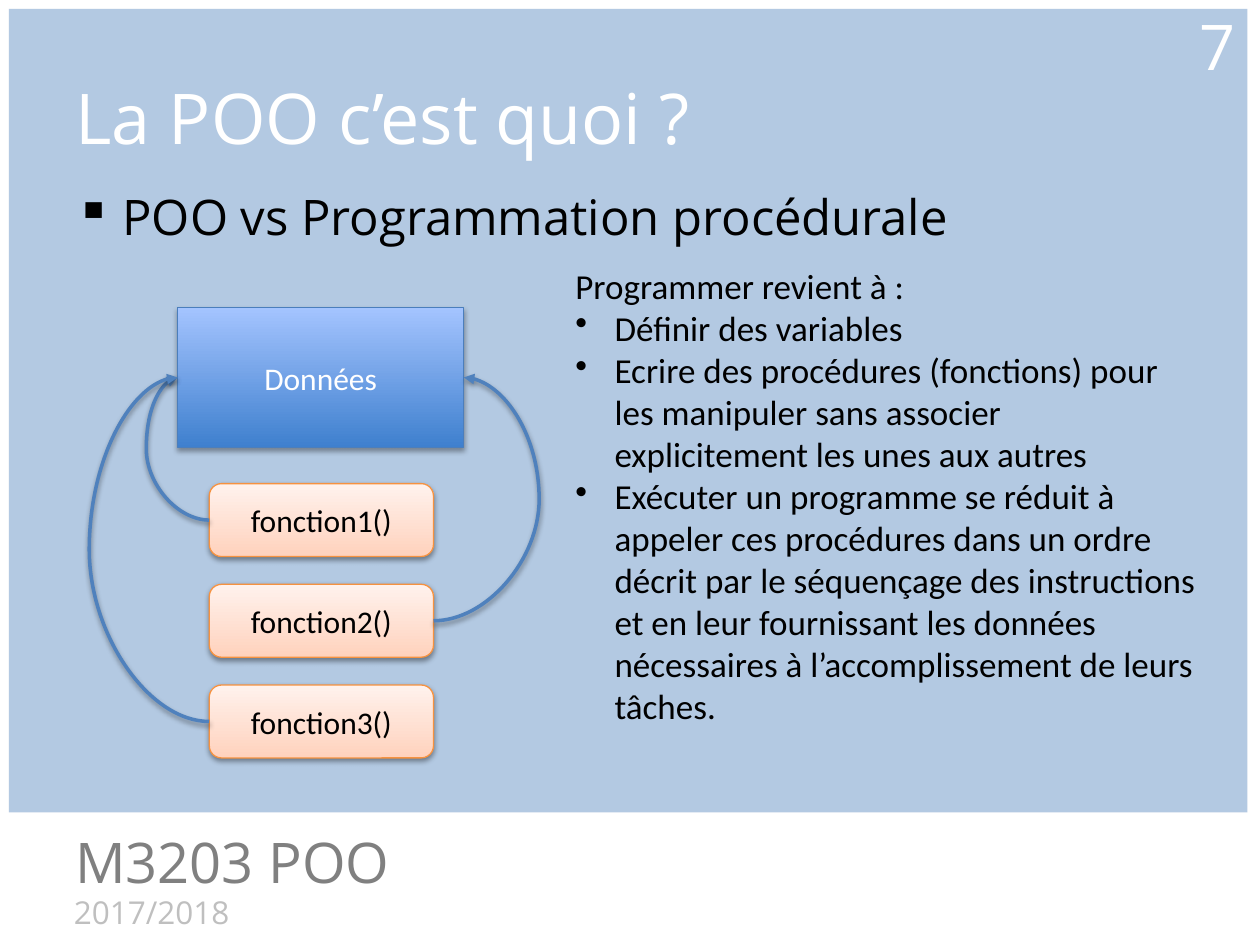
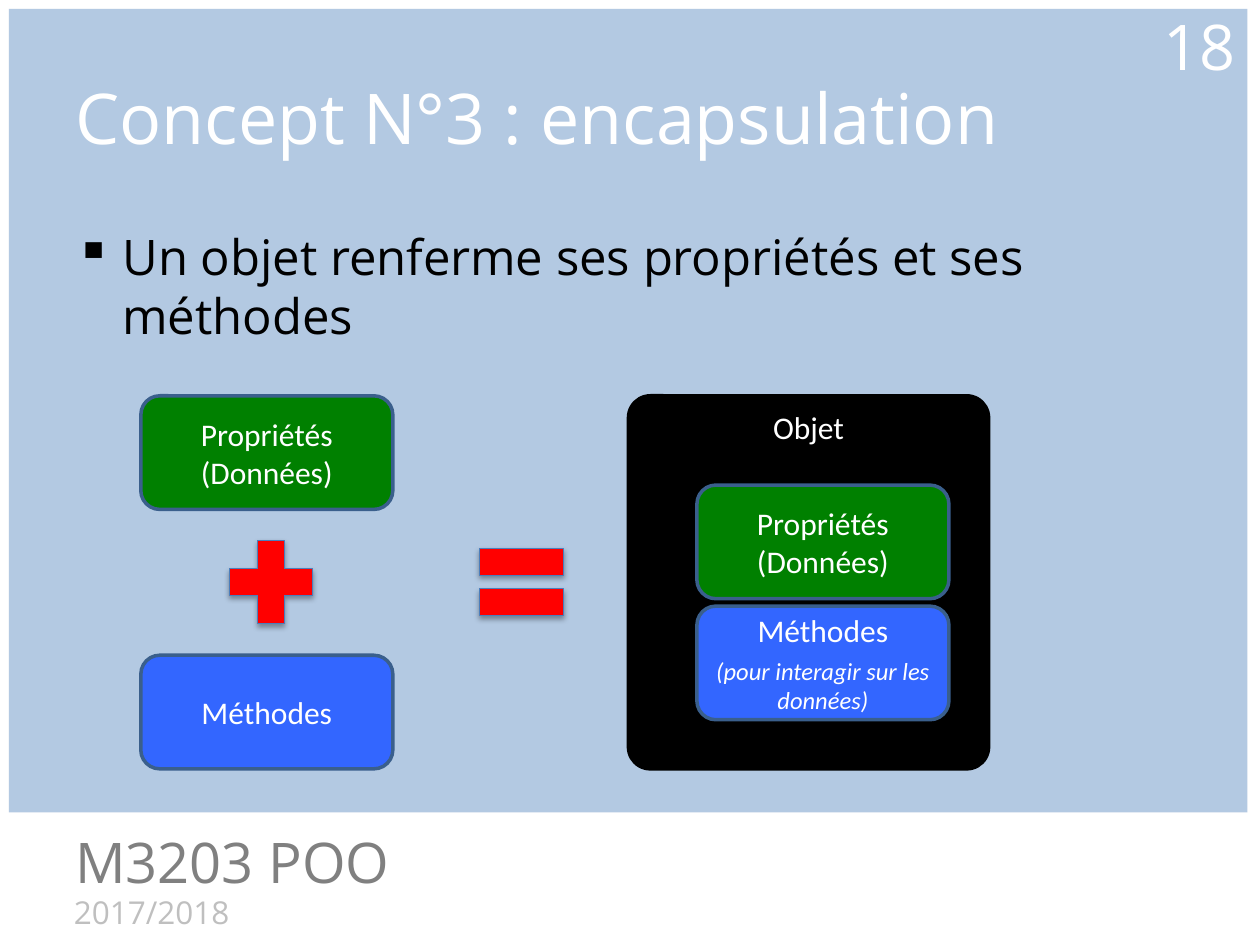
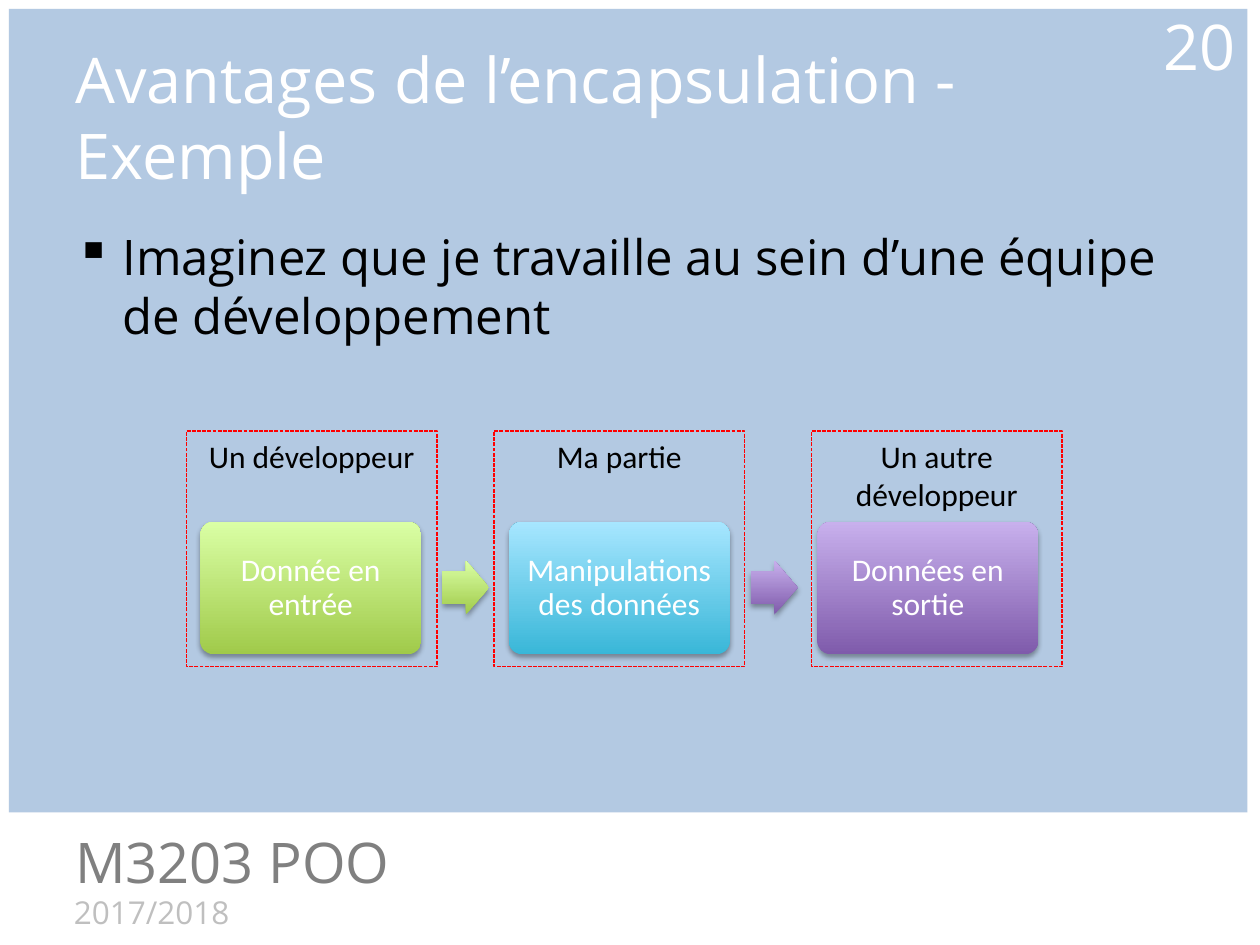
from dataclasses import dataclass
from typing import NamedTuple

from lxml.etree import SubElement
from pptx import Presentation
from pptx.dml.color import RGBColor
from pptx.enum.dml import MSO_LINE
from pptx.enum.shapes import MSO_CONNECTOR, MSO_SHAPE, PP_PLACEHOLDER
from pptx.enum.text import MSO_ANCHOR, MSO_AUTO_SIZE, PP_ALIGN
from pptx.oxml.ns import qn
from pptx.shapes.autoshape import Shape
from pptx.slide import Slide, SlideLayout
from pptx.text.text import TextFrame
from pptx.util import Cm, Pt

WHITE = RGBColor(0xFF, 0xFF, 0xFF)
BLACK = RGBColor(0x00, 0x00, 0x00)
DARK_GREY = RGBColor(0x80, 0x80, 0x80)
LIGHT_GREY = RGBColor(0xBF, 0xBF, 0xBF)
BAND_BLUE = RGBColor(0x95, 0xB3, 0xD7)
ARROW_BLUE = RGBColor(0x4F, 0x81, 0xBD)
EDGE_BLUE = RGBColor(0x4B, 0x7E, 0xBC)
DARK_EDGE = RGBColor(0x3A, 0x5F, 0x8C)
ORANGE = RGBColor(0xF6, 0x92, 0x40)
GREEN = RGBColor(0x00, 0x80, 0x00)
BLUE = RGBColor(0x33, 0x66, 0xFF)
RED = RGBColor(0xFF, 0x00, 0x00)

HEADING_FONT = "Open Sans"
DIAGRAM_FONT = "Calibri"


class Gradient(NamedTuple):
    bottom: RGBColor
    top: RGBColor


DATA_BLUE = Gradient(RGBColor(0x3F, 0x80, 0xCE), RGBColor(0xA4, 0xC4, 0xFF))
PEACH = Gradient(RGBColor(0xFF, 0xD2, 0xBD), RGBColor(0xFF, 0xF2, 0xED))
LIME = Gradient(RGBColor(0xA0, 0xCA, 0x4A), RGBColor(0xDA, 0xFF, 0xA5))
CYAN = Gradient(RGBColor(0x39, 0xB7, 0xD8), RGBColor(0xA7, 0xE6, 0xFF))
PURPLE = Gradient(RGBColor(0x7F, 0x5B, 0xAB), RGBColor(0xC8, 0xB0, 0xED))


class Shadow(NamedTuple):
    opacity: int
    distance: float


STRONG_SHADOW = Shadow(35, 1.8)
SOFT_SHADOW = Shadow(38, 1.6)


class Box(NamedTuple):
    """Left, top, width and height in centimetres."""
    left: float
    top: float
    width: float
    height: float

    def lengths(self) -> list[Cm]:
        return [Cm(value) for value in self]


class Style(NamedTuple):
    font: str
    size: int
    color: RGBColor
    italic: bool = False


TITLE = Style(HEADING_FONT, 40, WHITE)
LONG_TITLE = Style(HEADING_FONT, 36, WHITE)
PAGE_NUMBER = Style(HEADING_FONT, 36, WHITE)
BODY = Style(HEADING_FONT, 28, BLACK)
COURSE = Style(HEADING_FONT, 32, DARK_GREY)
YEAR = Style(HEADING_FONT, 18, LIGHT_GREY)
EXPLANATION = Style(DIAGRAM_FONT, 20, BLACK)
LIGHT_LABEL = Style(DIAGRAM_FONT, 18, WHITE)
DARK_LABEL = Style(DIAGRAM_FONT, 18, BLACK)
REMARK = Style(DIAGRAM_FONT, 14, WHITE, italic=True)


@dataclass(frozen=True)
class Line:
    """One paragraph of text."""
    text: str
    style: Style
    align: PP_ALIGN = PP_ALIGN.LEFT
    bullet: str = ""
    indent: float = 0
    space_before: int = 0
    spacing: float = 1.0


@dataclass(frozen=True)
class Panel:
    """A preset shape with its look and its centred labels."""
    kind: MSO_SHAPE
    box: Box
    fill: RGBColor | Gradient | None = None
    edge: RGBColor | None = None
    edge_width: float = 0.75
    dashed: bool = False
    corner: float | None = None
    shadow: Shadow | None = None
    labels: tuple[Line, ...] = ()
    anchor: MSO_ANCHOR = MSO_ANCHOR.MIDDLE


def label(text: str, style: Style = LIGHT_LABEL, **options) -> Line:
    return Line(text, style, PP_ALIGN.CENTER, **options)


def write(frame: TextFrame, lines: tuple[Line, ...], anchor: MSO_ANCHOR) -> None:
    frame.word_wrap = True
    frame.auto_size = MSO_AUTO_SIZE.NONE
    frame.vertical_anchor = anchor
    for index, line in enumerate(lines):
        paragraph = frame.add_paragraph() if index else frame.paragraphs[0]
        if line.bullet:
            properties = paragraph._p.get_or_add_pPr()
            properties.set("marL", str(Cm(line.indent)))
            properties.set("indent", str(-Cm(line.indent)))
            SubElement(properties, qn("a:buChar"), char=line.bullet)
        paragraph.alignment = line.align
        paragraph.line_spacing = line.spacing
        if line.space_before:
            paragraph.space_before = Pt(line.space_before)
        run = paragraph.add_run()
        run.text = line.text
        run.font.name = line.style.font
        run.font.size = Pt(line.style.size)
        run.font.color.rgb = line.style.color
        run.font.italic = line.style.italic


def add_text(slide: Slide, box: Box, *lines: Line,
             anchor: MSO_ANCHOR = MSO_ANCHOR.TOP) -> Shape:
    text_box = slide.shapes.add_textbox(*box.lengths())
    write(text_box.text_frame, lines, anchor)
    return text_box


def add_shadow(properties, shadow: Shadow) -> None:
    """Give a spPr element a downward shadow."""
    effects = properties.find(qn("a:effectLst"))
    if effects is None:
        effects = SubElement(properties, qn("a:effectLst"))
    outer = SubElement(effects, qn("a:outerShdw"), blurRad=str(Pt(3.1)),
                       dist=str(Pt(shadow.distance)), dir="5400000", rotWithShape="0")
    color = SubElement(outer, qn("a:srgbClr"), val=str(BLACK))
    SubElement(color, qn("a:alpha"), val=str(shadow.opacity * 1000))


def add_panel(slide: Slide, panel: Panel) -> Shape:
    shape = slide.shapes.add_shape(panel.kind, *panel.box.lengths())
    if panel.corner is not None:
        shape.adjustments[0] = panel.corner
    if panel.fill is None:
        shape.fill.background()
    elif isinstance(panel.fill, Gradient):
        shape.fill.gradient()
        shape.fill.gradient_angle = 90
        for stop, color in zip(shape.fill.gradient_stops, panel.fill):
            stop.color.rgb = color
    else:
        shape.fill.solid()
        shape.fill.fore_color.rgb = panel.fill
    if panel.edge is None:
        shape.line.fill.background()
    else:
        shape.line.color.rgb = panel.edge
        shape.line.width = Pt(panel.edge_width)
        if panel.dashed:
            shape.line.dash_style = MSO_LINE.SQUARE_DOT
    shape.shadow.inherit = False
    if panel.shadow:
        add_shadow(shape.element.spPr, panel.shadow)
    write(shape.text_frame, panel.labels, panel.anchor)
    return shape


LEFT_SITE, RIGHT_SITE = 1, 3


def add_access_arrow(slide: Slide, function: Shape, data: Shape, site: int,
                     bend: float) -> None:
    """Curve from a function to the data on the same side, bulging out to bend."""
    arrow = slide.shapes.add_connector(MSO_CONNECTOR.CURVE, 0, 0, 0, 0)
    arrow.begin_connect(function, site)
    arrow.end_connect(data, site)
    arrow.line.color.rgb = ARROW_BLUE
    arrow.line.width = Pt(2)
    properties = arrow.element.spPr
    SubElement(properties.find(qn("a:ln")), qn("a:tailEnd"), type="triangle")
    reach = (Cm(bend) - arrow.begin_x) / (arrow.end_x - arrow.begin_x)
    guides = properties.find(qn("a:prstGeom")).find(qn("a:avLst"))
    SubElement(guides, qn("a:gd"), name="adj1", fmla=f"val {round(reach * 100000)}")
    add_shadow(properties, SOFT_SHADOW)


def furnish_layout(layout: SlideLayout, slide: Slide) -> None:
    """Draw the band and footers on a slide, then hand them to its layout."""
    for placeholder in list(layout.placeholders):
        if placeholder.placeholder_format.type != PP_PLACEHOLDER.TITLE:
            layout.shapes.element.remove(placeholder.element)
    band = add_panel(slide, Panel(MSO_SHAPE.RECTANGLE, Box(0.18, 0.18, 24.97, 16.2),
                                  BAND_BLUE))
    color = band.element.spPr.find(qn("a:solidFill")).find(qn("a:srgbClr"))
    SubElement(color, qn("a:alpha"), val="71000")
    year = add_text(slide, Box(1.24, 17.88, 10.16, 1.02), Line("2017/2018", YEAR))
    course = add_text(slide, Box(1.27, 16.56, 13, 1.63), Line("M3203 POO", COURSE))
    for part in (band, year, course):
        layout.shapes.element.append(part.element)


def start_slide(slide: Slide, title: str, number: int, statement: str,
                statement_top: float = 4.45, title_style: Style = TITLE) -> None:
    heading = slide.shapes.title
    heading.left, heading.top, heading.width, heading.height = Box(
        1.27, 0.76, 22.86, 3.18).lengths()
    write(heading.text_frame, (Line(title, title_style),), MSO_ANCHOR.MIDDLE)
    add_text(slide, Box(1.27, statement_top, 22.86, 11.6),
             Line(statement, BODY, bullet="▪", indent=0.95))
    add_text(slide, Box(21.92, 0.18, 3.23, 1.47),
             Line(str(number), PAGE_NUMBER, PP_ALIGN.RIGHT), anchor=MSO_ANCHOR.MIDDLE)


def build_procedural(slide: Slide) -> None:
    start_slide(slide, "La POO c’est quoi ?", 7, "POO vs Programmation procédurale", 3.63)
    data = add_panel(slide, Panel(
        MSO_SHAPE.RECTANGLE, Box(3.58, 6.2, 5.77, 2.82), DATA_BLUE, EDGE_BLUE,
        shadow=STRONG_SHADOW, labels=(label("Données"),)))
    accesses = ((LEFT_SITE, 2.95), (RIGHT_SITE, 10.87), (LEFT_SITE, 1.8))
    for index, (site, bend) in enumerate(accesses):
        function = add_panel(slide, Panel(
            MSO_SHAPE.ROUNDED_RECTANGLE, Box(4.22, 9.75 + index * 2.03, 4.52, 1.47),
            PEACH, ORANGE, shadow=SOFT_SHADOW,
            labels=(label(f"fonction{index + 1}()", DARK_LABEL),)))
        add_access_arrow(slide, function, data, site, bend)
    points = (
        "Définir des variables",
        "Ecrire des procédures (fonctions) pour les manipuler sans associer "
        "explicitement les unes aux autres",
        "Exécuter un programme se réduit à appeler ces procédures dans un ordre décrit "
        "par le séquençage des instructions et en leur fournissant les données "
        "nécessaires à l’accomplissement de leurs tâches.",
    )
    add_text(slide, Box(11.35, 5.21, 13.08, 9.65),
             Line("Programmer revient à :", EXPLANATION),
             *(Line(point, EXPLANATION, bullet="•", indent=0.79) for point in points))


def build_encapsulation(slide: Slide) -> None:
    start_slide(slide, "Concept N°3 : encapsulation", 18,
                "Un objet renferme ses propriétés et ses méthodes")
    add_panel(slide, Panel(
        MSO_SHAPE.ROUNDED_RECTANGLE, Box(12.67, 7.98, 7.26, 7.52), BLACK, BLACK, 2,
        corner=0.061, labels=(label("Objet"),), anchor=MSO_ANCHOR.TOP))
    properties = (label("Propriétés (Données)"),)
    methods = (label("Méthodes"),)
    remark = (label("(pour interagir sur les données)", REMARK, space_before=4),)
    members = (
        (2.84, 7.98, GREEN, properties),
        (2.84, 13.21, BLUE, methods),
        (14.05, 9.78, GREEN, properties),
        (14.05, 12.22, BLUE, methods + remark),
    )
    for left, top, color, labels in members:
        add_panel(slide, Panel(MSO_SHAPE.ROUNDED_RECTANGLE, Box(left, top, 5.08, 2.29),
                               color, DARK_EDGE, 2, labels=labels))
    for sign, left in ((MSO_SHAPE.MATH_PLUS, 4.32), (MSO_SHAPE.MATH_EQUAL, 9.37)):
        add_panel(slide, Panel(sign, Box(left, 10.59, 2.29, 2.29), RED, EDGE_BLUE,
                               shadow=STRONG_SHADOW))


def build_example(slide: Slide) -> None:
    start_slide(slide, "Avantages de l’encapsulation - Exemple", 20,
                "Imaginez que je travaille au sein d’une équipe de développement",
                title_style=LONG_TITLE)
    first_left, step_pitch = 4.04, 6.22
    steps = (("Donnée en entrée", LIME), ("Manipulations des données", CYAN),
             ("Données en sortie", PURPLE))
    for index, (text, gradient) in enumerate(steps):
        add_panel(slide, Panel(
            MSO_SHAPE.ROUNDED_RECTANGLE,
            Box(first_left + index * step_pitch, 10.52, 4.45, 2.67), gradient,
            corner=0.1, shadow=STRONG_SHADOW, labels=(label(text, spacing=0.9),)))
    for index, gradient in enumerate((LIME, PURPLE)):
        add_panel(slide, Panel(
            MSO_SHAPE.RIGHT_ARROW,
            Box(first_left + 4.88 + index * step_pitch, 11.3, 0.94, 1.09), gradient,
            corner=0.6, shadow=STRONG_SHADOW))
    owners = (("Un développeur", 3.76), ("Ma partie", 9.96), ("Un autre développeur", 16.36))
    for owner, left in owners:
        add_panel(slide, Panel(
            MSO_SHAPE.RECTANGLE, Box(left, 8.69, 5.05, 4.75), edge=RED, dashed=True,
            labels=(label(owner, DARK_LABEL),), anchor=MSO_ANCHOR.TOP))


def main() -> None:
    deck = Presentation()
    deck.slide_width, deck.slide_height = Cm(25.4), Cm(19.05)
    title_only = deck.slide_layouts[5]
    builders = (build_procedural, build_encapsulation, build_example)
    slides = [deck.slides.add_slide(title_only) for _ in builders]
    furnish_layout(title_only, slides[0])
    for build, slide in zip(builders, slides):
        build(slide)
    deck.save("out.pptx")


if __name__ == "__main__":
    main()
